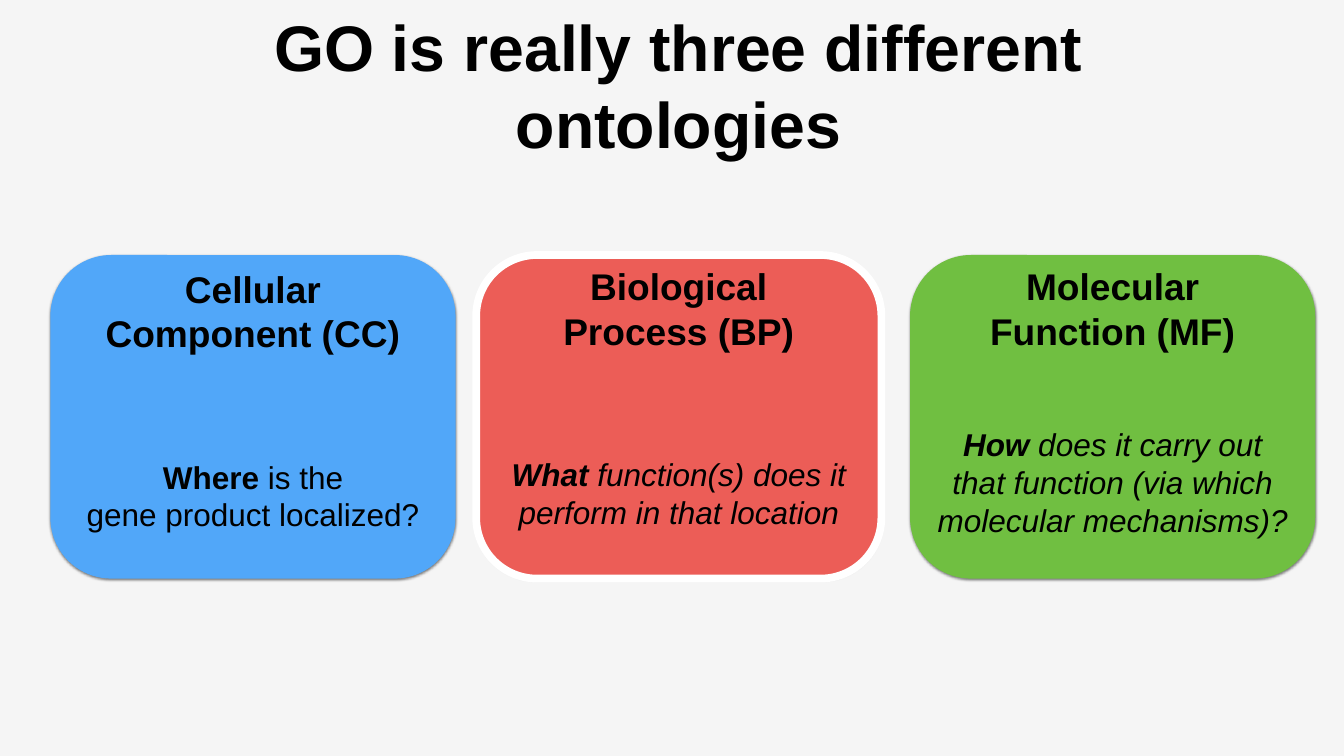
from lxml.etree import SubElement
from pptx import Presentation
from pptx.dml.color import RGBColor
from pptx.enum.shapes import MSO_SHAPE as Shape
from pptx.enum.text import MSO_ANCHOR as Anchor, PP_ALIGN as Align
from pptx.oxml.ns import qn
from pptx.util import Inches, Pt

PAPER = RGBColor(0xF5, 0xF5, 0xF5)
BLACK = RGBColor(0, 0, 0)
WHITE = RGBColor(255, 255, 255)
BLUE = RGBColor(0x51, 0xA7, 0xF9)
RED = RGBColor(0xEC, 0x5D, 0x57)
GREEN = RGBColor(0x70, 0xBF, 0x41)

TITLE = "GO is really three different ontologies"
# "head" and "body" hold (top, width, height) in inches;
# each line of "ask" is a list of (text, bold) runs.
CARDS = [
    dict(left=1, fill=BLUE, name=["Cellular", "Component (CC)"],
         head=(5.15, 6.31, 2.03), body=(8.55, 7.16, 2.56), slant=False,
         ask=[[("Where", True), (" is the", False)],
              [("gene product localized?", False)]]),
    dict(left=18.06, fill=GREEN, name=["Molecular", "Function (MF)"],
         head=(5.1, 5.29, 2.03), body=(7.89, 7.16, 3.34), slant=True,
         ask=[[("How", True),
               (" does it carry out that function"
                " (via which molecular mechanisms)?", False)]]),
    dict(left=9.45, fill=RED, name=["Biological", "Process (BP)"],
         head=(5.1, 4.99, 2.03), body=(8.5, 7.16, 2.56), slant=True,
         ask=[[("What", True),
               (" function(s) does it perform in that location", False)]]),
]
FOCUS = CARDS[-1]
TOP, WIDE, HIGH = 5.06, 8.04, 6.42


def write(frame, lines, size, slant=False):
    frame.word_wrap = True
    frame.vertical_anchor = Anchor.MIDDLE
    frame.margin_left = frame.margin_right = Inches(0.08)
    frame.margin_top = frame.margin_bottom = Inches(0.08)
    for i, line in enumerate(lines):
        para = frame.add_paragraph() if i else frame.paragraphs[0]
        para.alignment = Align.CENTER
        para.line_spacing = 1
        para.space_before = Pt(0)
        for text, bold in line:
            run = para.add_run()
            run.text = text
            font = run.font
            font.name, font.size = "Arial", Pt(size)
            font.bold, font.italic = bold, slant
            font.color.rgb = BLACK


def add_card(left):
    card = slide.shapes.add_shape(Shape.ROUNDED_RECTANGLE, Inches(left),
                                  Inches(TOP), Inches(WIDE), Inches(HIGH))
    card.adjustments[0] = 0.188
    card.shadow.inherit = False
    return card


def add_shade(card):
    """Give the card a soft, half-clear shadow straight below it."""
    list_el = card.shadow._element.find(qn("a:effectLst"))
    shade = SubElement(list_el, qn("a:outerShdw"), blurRad=str(Pt(4)),
                       dist=str(Pt(2)), dir="5400000", rotWithShape="0")
    tint = SubElement(shade, qn("a:srgbClr"), val=str(BLACK))
    SubElement(tint, qn("a:alpha"), val="50000")


def add_text(mid, place, lines, size, slant=False):
    top, wide, high = place
    box = slide.shapes.add_textbox(Inches(mid - wide / 2), Inches(top),
                                   Inches(wide), Inches(high))
    write(box.text_frame, lines, size, slant)


deck = Presentation()
deck.slide_width, deck.slide_height = Inches(26.67), Inches(15)
slide = deck.slides.add_slide(deck.slide_layouts[5])
slide.background.fill.solid()
slide.background.fill.fore_color.rgb = PAPER

title = slide.shapes.title
title.left, title.top = Inches(1.95), Inches(0.83)
title.width, title.height = Inches(23.03), Inches(1.68)
write(title.text_frame, [[(TITLE, True)]], 92)

for item in CARDS:
    card = add_card(item["left"])
    card.fill.solid()
    card.fill.fore_color.rgb = item["fill"]
    card.line.fill.background()
    add_shade(card)
    mid = item["left"] + WIDE / 2
    add_text(mid, item["head"], [[(line, True)] for line in item["name"]], 53)
    add_text(mid, item["body"], item["ask"], 45, item["slant"])

ring = add_card(FOCUS["left"])
ring.fill.background()
ring.line.color.rgb = WHITE
ring.line.width = Pt(11)

deck.save("out.pptx")
